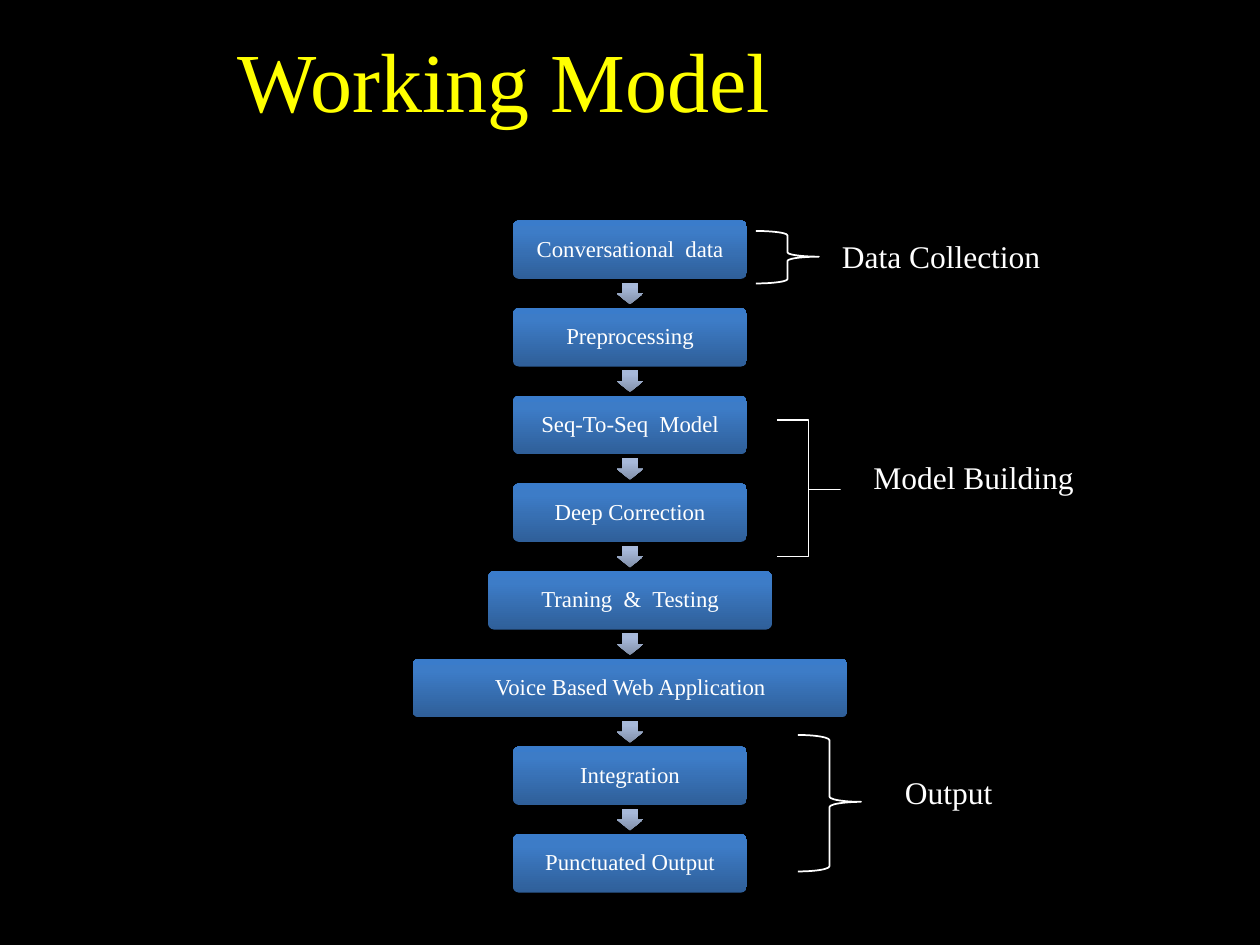
from lxml import etree
from pptx import Presentation
from pptx.dml.color import RGBColor
from pptx.enum.shapes import MSO_SHAPE
from pptx.enum.text import MSO_ANCHOR, MSO_AUTO_SIZE, PP_ALIGN
from pptx.oxml.ns import qn
from pptx.util import Pt

BOX = MSO_SHAPE.ROUNDED_RECTANGLE
ARROW = MSO_SHAPE.DOWN_ARROW
BRACE = MSO_SHAPE.RIGHT_BRACE
MIDDLE = MSO_ANCHOR.MIDDLE
CENTER = PP_ALIGN.CENTER
LEFT = PP_ALIGN.LEFT
GROW = MSO_AUTO_SIZE.SHAPE_TO_FIT_TEXT

FONT = "Times New Roman"
COLORS = {"back": "000000", "title": "FFFF00", "text": "FFFFFF"}
BLUE = [(0, "2F5F99"), (80, "3D7CC7"), (100, "3A7CCB")]
GRAY = [(0, "818FA8"), (80, "A7B9DA"), (100, "A7BADC")]

TITLE = "Working Model"
STEPS = [
    ("Conversational  data", 133.5),
    ("Preprocessing", 133.5),
    ("Seq-To-Seq  Model", 133.5),
    ("Deep Correction", 133.5),
    ("Traning  &  Testing", 162),
    ("Voice Based Web Application", 248.5),
    ("Integration", 133.5),
    ("Punctuated Output", 133.5),
]
BRACES = [
    ((432, 132, 36, 30), (0.083, 0.49)),
    ((444, 240, 36, 78), (0, 0.51)),
    ((456, 420, 36, 78), (0.083, 0.49)),
]
LABELS = [
    ("Data Collection", (474, 132, 138, 29)),
    ("Model Building", (492, 258, 138, 29)),
    ("Output", (510, 438, 108, 29)),
]

MID = 360
TOP = 126
PITCH = 50.1
BOX_H = 33.4
ARROW_W, ARROW_H = 15, 12.5


def color(name):
    return RGBColor.from_string(COLORS[name])


def write(frame, text, size, name, align):
    frame.word_wrap = True
    para = frame.paragraphs[0]
    para.alignment = align
    run = para.add_run()
    run.text = text
    run.font.name = FONT
    run.font.size = Pt(size)
    run.font.color.rgb = color(name)
    return para


def add_text(slide, text, rect, size, name, align):
    box = slide.shapes.add_textbox(*map(Pt, rect))
    write(box.text_frame, text, size, name, align)
    return box.text_frame


def add_shape(slide, kind, rect, adjust):
    shape = slide.shapes.add_shape(kind, *map(Pt, rect))
    shape.shadow.inherit = False
    for i, value in enumerate(adjust):
        shape.adjustments[i] = value
    return shape


def shade(shape, stops):
    shape.line.fill.background()
    shape.fill.gradient()
    shape.fill.gradient_angle = 90
    group = shape._element.spPr.find(qn("a:gradFill")).find(qn("a:gsLst"))
    for old in list(group):
        group.remove(old)
    for place, tint in stops:
        stop = etree.SubElement(group, qn("a:gs"), pos=str(place * 1000))
        etree.SubElement(stop, qn("a:srgbClr"), val=tint)


def add_step(slide, text, width, top):
    box = add_shape(slide, BOX, (MID - width / 2, top, width, BOX_H), [0.1])
    shade(box, BLUE)
    frame = box.text_frame
    frame.margin_left = frame.margin_right = Pt(3.6)
    frame.margin_top = frame.margin_bottom = Pt(3.6)
    frame.vertical_anchor = MIDDLE
    write(frame, text, 13, "text", CENTER).line_spacing = 0.9


def add_arrow(slide, top):
    gap = (PITCH - BOX_H - ARROW_H) / 2
    rect = (MID - ARROW_W / 2, top + BOX_H + gap, ARROW_W, ARROW_H)
    shade(add_shape(slide, ARROW, rect, [0.6, 0.5]), GRAY)


def main():
    deck = Presentation()
    deck.slide_width, deck.slide_height = Pt(720), Pt(540)
    slide = deck.slides.add_slide(deck.slide_layouts[6])
    slide.background.fill.solid()
    slide.background.fill.fore_color.rgb = color("back")

    head = add_text(slide, TITLE, (-36, 0, 648, 90), 48, "title", CENTER)
    head.vertical_anchor = MIDDLE

    for i, (text, width) in enumerate(STEPS):
        top = TOP + i * PITCH
        add_step(slide, text, width, top)
        if i < len(STEPS) - 1:
            add_arrow(slide, top)

    for rect, adjust in BRACES:
        brace = add_shape(slide, BRACE, rect, adjust)
        brace.fill.background()
        brace.line.color.rgb = color("text")
        brace.line.width = Pt(1)

    for text, rect in LABELS:
        frame = add_text(slide, text, rect, 18, "text", LEFT)
        frame.auto_size = GROW

    deck.save("out.pptx")


if __name__ == "__main__":
    main()
